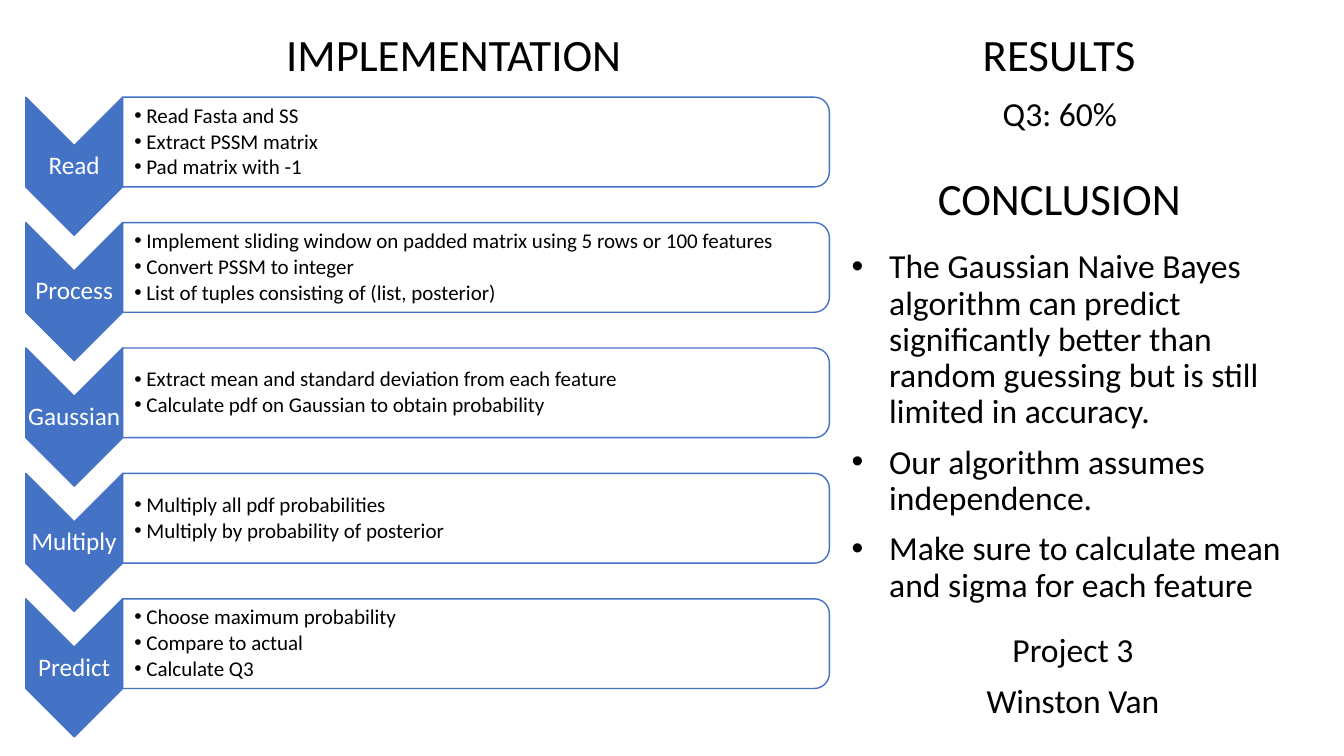
from lxml.etree import SubElement as Sub
from pptx import Presentation
from pptx.dml.color import RGBColor as Rgb
from pptx.enum.shapes import MSO_SHAPE as Geo
from pptx.enum.text import MSO_ANCHOR as Anchor, PP_ALIGN as Align
from pptx.oxml.ns import qn
from pptx.util import Cm, Pt

HUES = {"blue": "4472C4", "white": "FFFFFF", "black": "000000"}
FACE = "Calibri"
TOP = 2.45
PITCH = 3.16
LEFT = 0.65
ARROW = 2.44

STEPS = [
    ("Read", ["Read Fasta and SS", "Extract PSSM matrix", "Pad matrix with -1"]),
    ("Process", [
        "Implement sliding window on padded matrix using 5 rows or 100 features",
        "Convert PSSM to integer",
        "List of tuples consisting of (list, posterior)"]),
    ("Gaussian", [
        "Extract mean and standard deviation from each feature",
        "Calculate pdf on Gaussian to obtain probability"]),
    ("Multiply", [
        "Multiply all pdf probabilities",
        "Multiply by probability of posterior"]),
    ("Predict", ["Choose maximum probability", "Compare to actual", "Calculate Q3"]),
]
HEADS = [
    ("IMPLEMENTATION", (5.61, 0.71, 11.66, 1.4)),
    ("RESULTS", (22.43, 0.71, 8.53, 1.4)),
    ("CONCLUSION", (20.17, 4.32, 13.06, 1.4)),
]
POINTS = [
    "The Gaussian Naive Bayes algorithm can predict significantly better than "
    "random guessing but is still limited in accuracy.",
    "Our algorithm assumes independence.",
    "Make sure to calculate mean and sigma for each feature",
]


def color(name):
    return Rgb.from_string(HUES[name])


def add_text(slide, box, lines, size, hue="black", before=10, after=0,
             indent=None, level=0, pads=None):
    frame = slide.shapes.add_textbox(*map(Cm, box)).text_frame
    frame.word_wrap = True
    if pads:
        frame.vertical_anchor = Anchor.MIDDLE
        (frame.margin_left, frame.margin_top,
         frame.margin_right, frame.margin_bottom) = map(Cm, pads)
    frame.text = "\n".join(lines)
    for para in frame.paragraphs:
        para.level = level
        para.line_spacing = 0.9
        para.space_before = Pt(before)
        para.space_after = Pt(after)
        if indent:
            para.alignment = Align.LEFT
            add_bullet(para, Cm(indent))
        else:
            para.alignment = Align.CENTER
        font = para.font
        font.name = FACE
        font.size = Pt(size)
        font.color.rgb = color(hue)


def add_bullet(para, indent):
    props = para._p.get_or_add_pPr()
    props.set("marL", str(indent))
    props.set("indent", str(-indent))
    Sub(props, qn("a:buFont")).set("typeface", "Arial")
    Sub(props, qn("a:buChar")).set("char", "•")


def add_turned(slide, kind, box, hue, alpha=None):
    left, top, width, height = box
    shift = (width - height) / 2
    spot = (left + shift, top - shift, height, width)
    shape = slide.shapes.add_shape(kind, *map(Cm, spot))
    shape.rotation = 90
    shape.shadow.inherit = False
    shape.fill.solid()
    shape.fill.fore_color.rgb = color(hue)
    shape.line.color.rgb = color("blue")
    shape.line.width = Pt(1)
    if alpha:
        tint = shape._element.spPr.find(qn("a:solidFill"))[0]
        Sub(tint, qn("a:alpha")).set("val", str(alpha * 1000))


def add_step(slide, top, name, lines):
    edge = LEFT + ARROW
    add_turned(slide, Geo.CHEVRON, (LEFT, top, ARROW, 3.48), "blue")
    add_text(slide, (LEFT, top + 1.22, ARROW, 1.04), [name], 18, "white",
             before=0, after=6.3, pads=[0.03] * 4)
    add_turned(slide, Geo.ROUND_2_SAME_RECTANGLE, (edge, top, 17.81, 2.26),
               "white", 90)
    add_text(slide, (edge, top + 0.12, 17.68, 2.03), lines, 15, before=0,
             after=2.25, indent=0.3, level=1, pads=(0.3, 0.03, 0.03, 0.03))


def main():
    deck = Presentation()
    deck.slide_width = Cm(33.87)
    deck.slide_height = Cm(19.05)
    slide = deck.slides.add_slide(deck.slide_layouts[6])
    for head, box in HEADS:
        add_text(slide, box, [head], 32)
    add_text(slide, (23.47, 2.34, 6.48, 2.69), ["Q3: 60%"], 24)
    add_text(slide, (21.21, 6.17, 11.66, 12.17), POINTS, 24, indent=0.95)
    add_text(slide, (23.8, 15.85, 6.48, 2.69), ["Project 3", "Winston Van"], 24)
    for row, (name, lines) in enumerate(STEPS):
        add_step(slide, TOP + row * PITCH, name, lines)
    deck.save("out.pptx")


main()
